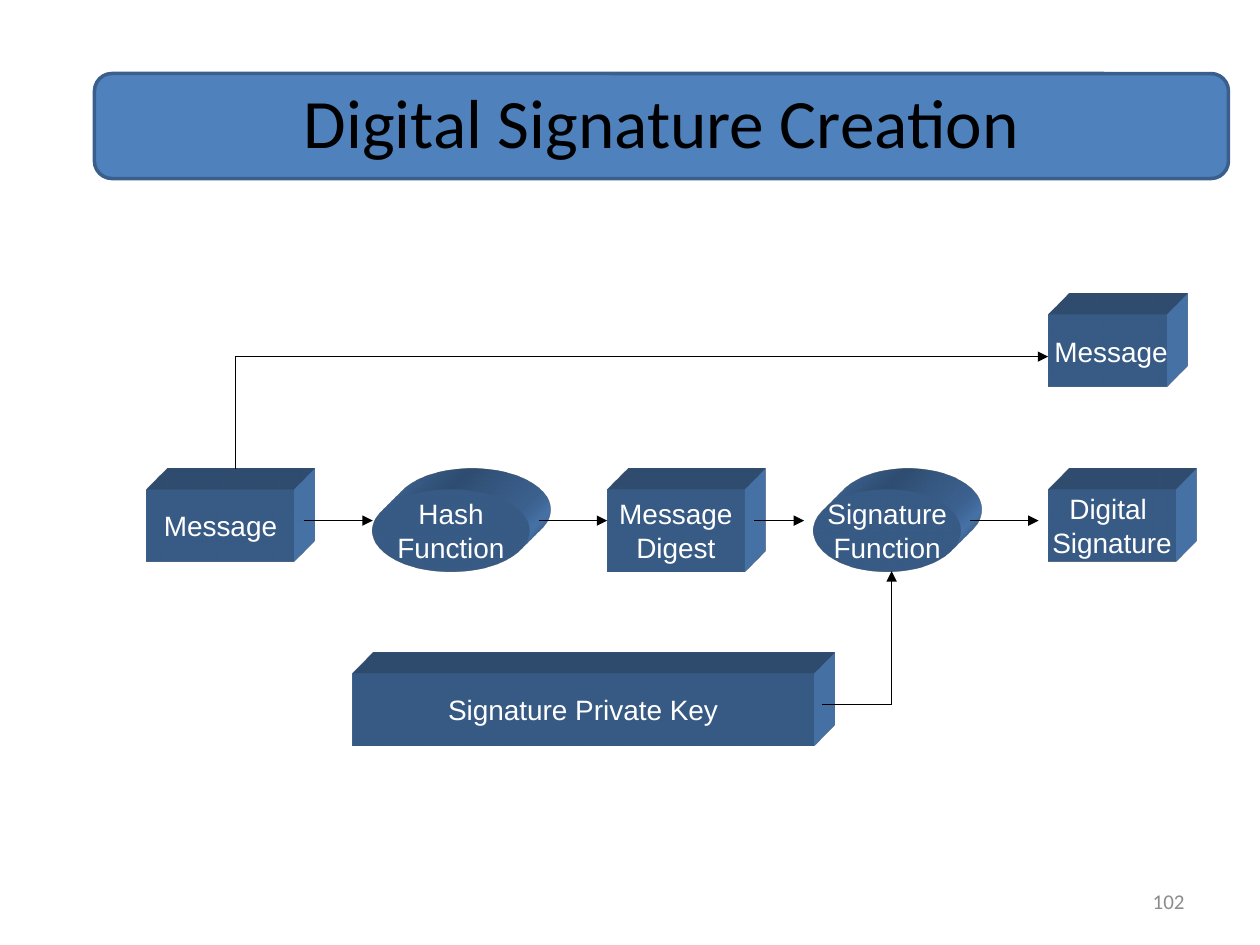
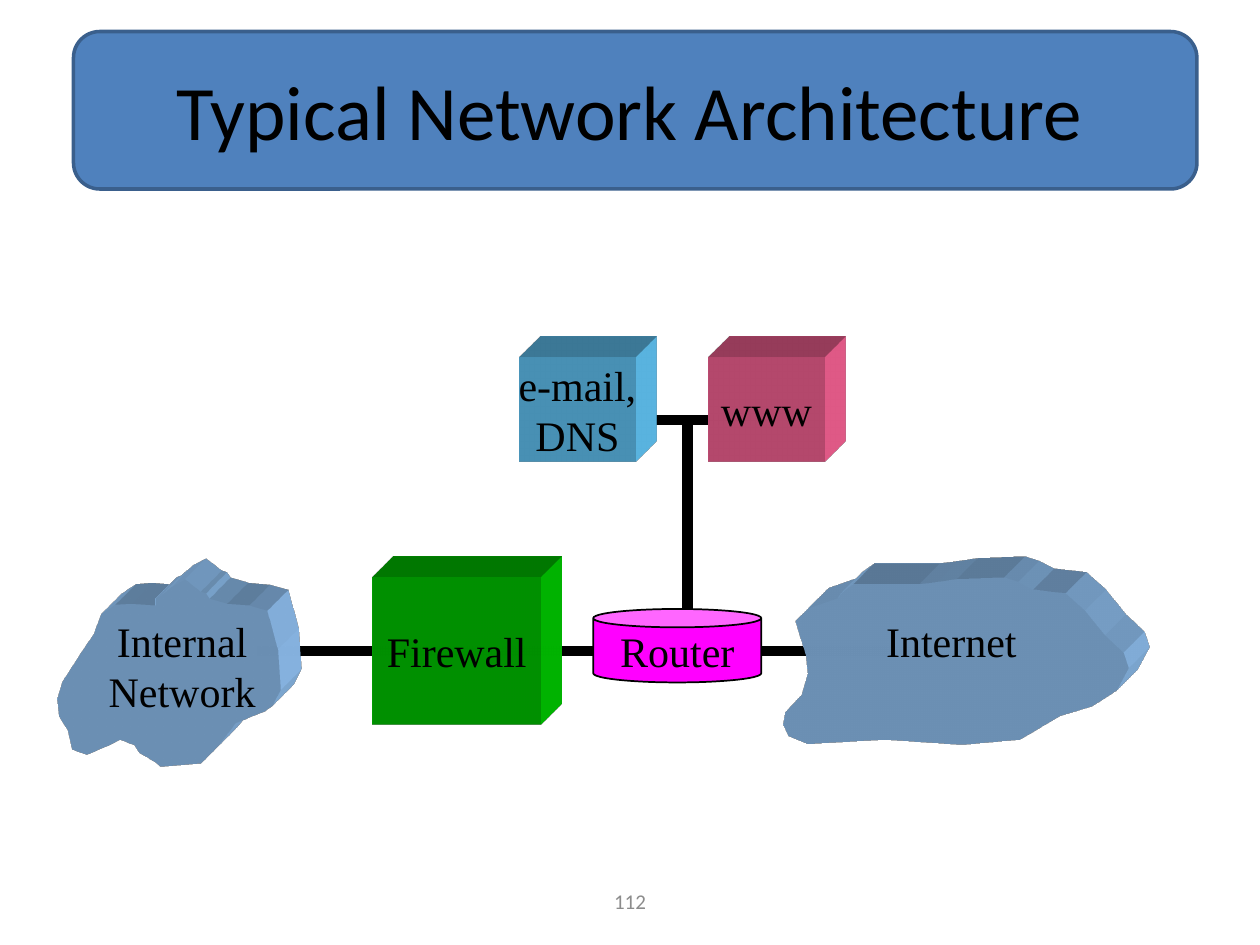
"""Build two diagram slides: digital signature creation and a typical network."""
from lxml.etree import SubElement
from pptx import Presentation
from pptx.dml.color import RGBColor
from pptx.enum.shapes import MSO_CONNECTOR, MSO_SHAPE
from pptx.enum.text import MSO_ANCHOR, PP_ALIGN
from pptx.oxml.ns import qn
from pptx.util import Pt

BLUE = RGBColor(0x4F, 0x81, 0xBD)
BAND_EDGE = RGBColor(0x3A, 0x5F, 0x8C)
BLACK = RGBColor(0, 0, 0)
WHITE = RGBColor(0xFF, 0xFF, 0xFF)
GREY = RGBColor(0x8C, 0x8C, 0x8C)
GREEN = RGBColor(0, 0xCC, 0)
MAGENTA = RGBColor(0xFF, 0, 0xFF)
SKY = RGBColor(0x66, 0xCC, 0xFF)
PINK = RGBColor(0xFF, 0x66, 0x99)
CLOUD = RGBColor(0x99, 0xCC, 0xFF)
SERIF = "Times New Roman"


def write_text(shape, text, font="Calibri", size=24, color=BLACK, align=PP_ALIGN.CENTER,
               anchor=MSO_ANCHOR.MIDDLE, wrap=False, spacing=None):
    """Fill a shape with one paragraph per line of text."""
    frame = shape.text_frame
    frame.text = text
    frame.word_wrap = wrap
    frame.vertical_anchor = anchor
    for paragraph in frame.paragraphs:
        paragraph.alignment = align
        paragraph.line_spacing = spacing
        paragraph.font.name = font
        paragraph.font.size = Pt(size)
        paragraph.font.color.rgb = color


def extrude(shape, color):
    """Give a shape a plain fill and an oblique depth in the same colour."""
    shape.shadow.inherit = False
    shape.fill.solid()
    shape.fill.fore_color.rgb = color
    shape.line.fill.background()
    properties = shape._element.spPr
    scene = SubElement(properties, qn("a:scene3d"))
    SubElement(scene, qn("a:camera"), prst="legacyObliqueTopRight")
    SubElement(scene, qn("a:lightRig"), rig="legacyFlat3", dir="b")
    solid = SubElement(properties, qn("a:sp3d"), extrusionH="430200", prstMaterial="legacyMatte")
    depth_color = SubElement(solid, qn("a:extrusionClr"))
    SubElement(depth_color, qn("a:srgbClr"), val=str(color))


prs = Presentation()
prs.slide_width, prs.slide_height = Pt(720), Pt(540)
signature = prs.slides.add_slide(prs.slide_layouts[6])
network = prs.slides.add_slide(prs.slide_layouts[6])

headings = [
    (signature, "Digital Signature Creation", 39.6, None, (54, 42, 648, 60), (54, 42, 648, 54)),
    (network, "Typical Network Architecture", 44, 0.85, (42, 18, 642, 90), (36, 21.6, 648, 90)),
]
for slide, title, size, spacing, band_box, title_box in headings:
    band = slide.shapes.add_shape(MSO_SHAPE.ROUNDED_RECTANGLE, *map(Pt, band_box))
    band.shadow.inherit = False
    band.fill.solid()
    band.fill.fore_color.rgb = BLUE
    band.line.color.rgb = BAND_EDGE
    band.line.width = Pt(2)
    write_text(slide.shapes.add_textbox(*map(Pt, title_box)), title,
               size=size, wrap=True, spacing=spacing)

page_numbers = [
    (signature, "102", 516, 168, PP_ALIGN.RIGHT),
    (network, "112", 246, 228, PP_ALIGN.CENTER),
]
for slide, number, left, width, align in page_numbers:
    footer = slide.shapes.add_textbox(Pt(left), Pt(500.4), Pt(width), Pt(28.8))
    write_text(footer, number, size=12, color=GREY, align=align, wrap=True)

BOX, OVAL = MSO_SHAPE.RECTANGLE, MSO_SHAPE.OVAL
steps = [
    ("Message", BOX, 84, 279.7, 84, 41),
    ("Hash\nFunction", OVAL, 213, 279.7, 89.5, 47),
    ("Message\nDigest", BOX, 347, 279.7, 78.5, 47),
    ("Signature\nFunction", OVAL, 465, 279.7, 84, 47),
    ("Digital \nSignature", BOX, 599, 279.7, 73, 41),
    (" Message", BOX, 599, 180, 67.5, 41),
    ("Signature Private Key", BOX, 201.5, 385, 263.5, 41),
]
for label, outline, *box in steps:
    step = signature.shapes.add_shape(outline, *map(Pt, box))
    extrude(step, BLUE)
    write_text(step, label, font="Arial", size=16, color=WHITE)

links = [
    (signature, 0.75, True, (134.5, 203.8, 599, 203.8)),
    (signature, 0.75, False, (134.5, 203.8, 134.5, 268)),
    (signature, 0.75, True, (173.5, 297.5, 213, 297.5)),
    (signature, 0.75, True, (308, 297.5, 347, 297.5)),
    (signature, 0.75, True, (431, 297.5, 459.5, 297.5)),
    (signature, 0.75, True, (554.5, 297.5, 593.5, 297.5)),
    (signature, 0.75, False, (470, 402.5, 509.5, 402.5)),
    (signature, 0.75, True, (509.5, 402.5, 509.5, 326.4)),
    (network, 6, False, (373, 240, 433, 240)),
    (network, 6, False, (393, 354, 393, 240)),
    (network, 6, False, (147, 372, 549, 372)),
]
for slide, width, has_arrow, ends in links:
    link = slide.shapes.add_connector(MSO_CONNECTOR.STRAIGHT, *map(Pt, ends))
    link.line.color.rgb = BLACK
    link.line.width = Pt(width)
    if has_arrow:
        SubElement(link.line._get_or_add_ln(), qn("a:tailEnd"), type="triangle")
    SubElement(link._element.spPr, qn("a:effectLst"))

internet = [
    (525.6, 334), (506, 334), (488, 334), (481, 339), (479, 342), (462, 348), (455, 355),
    (461, 375), (462, 385), (458.5, 397), (449, 407), (448, 414), (451, 420.5), (462, 425),
    (506, 422.6), (550, 425.5), (583, 422.6), (606, 409), (624, 403.6), (638, 394.6),
    (645, 381.6), (642, 373), (631.4, 363), (620, 349), (609, 339), (590.4, 337),
    (582, 332.6), (574, 330), (547, 331), (536.4, 332.6),
]
internal_network = [
    (89, 346), (75, 345), (66, 345.7), (58, 351), (54, 362), (47.5, 371.5), (36, 389.5),
    (33, 399), (34, 409), (39, 417), (41.6, 428), (50, 431), (63, 425.5), (69, 422.6),
    (77, 425.5), (80, 430), (88.6, 435), (92, 438), (115, 436), (125, 426), (135, 413),
    (152, 406), (156, 403), (160.6, 394), (159, 371), (153, 349), (142.6, 346), (130, 345),
    (120, 342), (118, 339), (115, 338), (106, 331), (98.6, 335), (92, 340.5), (89, 342),
]
for outline in (internet, internal_network):
    start, *rest = [(Pt(x), Pt(y)) for x, y in outline]
    builder = network.shapes.build_freeform(*start)
    builder.add_line_segments(rest, close=True)
    extrude(builder.convert_to_shape(), CLOUD)

router = network.shapes.add_shape(MSO_SHAPE.CAN, Pt(339), Pt(348), Pt(96), Pt(42))
router.shadow.inherit = False
router.fill.solid()
router.fill.fore_color.rgb = MAGENTA
router.line.color.rgb = BLACK
router.line.width = Pt(1)
write_text(router, "Router", font=SERIF)

devices = [
    ("Firewall", GREEN, 213, 330, 96, 84),
    ("e-mail,\nDNS", SKY, 297, 204, 66, 60),
    ("www", PINK, 405, 204, 66, 60),
]
for label, color, *box in devices:
    device = network.shapes.add_shape(BOX, *map(Pt, box))
    extrude(device, color)
    write_text(device, label, font=SERIF)

cloud_labels = [
    ("Internal\nNetwork", 54.8, 98.6, 65),
    ("Internet", 499, 89.3, 36),
]
for label, left, width, height in cloud_labels:
    cloud_label = network.shapes.add_textbox(Pt(left), Pt(348), Pt(width), Pt(height))
    write_text(cloud_label, label, font=SERIF, anchor=MSO_ANCHOR.TOP)

prs.save("out.pptx")
